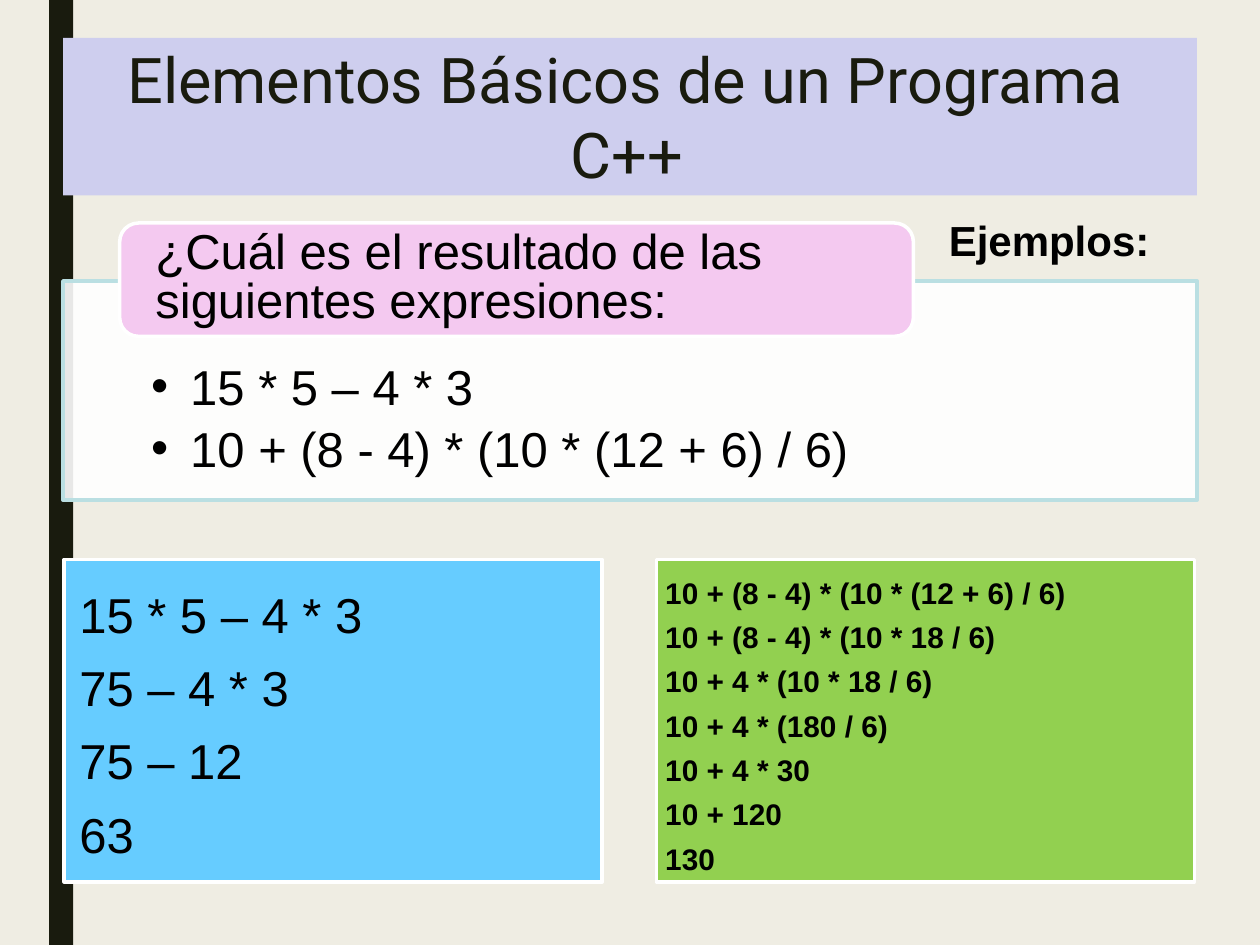
from dataclasses import dataclass

from lxml import etree
from pptx import Presentation
from pptx.dml.color import RGBColor
from pptx.enum.shapes import MSO_SHAPE
from pptx.enum.text import MSO_ANCHOR, MSO_AUTO_SIZE, PP_ALIGN
from pptx.oxml.ns import qn
from pptx.util import Inches, Pt


@dataclass(frozen=True)
class Theme:
    background: str = "EFEDE3"
    dark: str = "191B0E"
    title_fill: str = "CECEEE"
    panel_line: str = "BADFE2"
    label_fill: str = "F4C9F0"
    blue: str = "66CCFF"
    green: str = "92D050"
    white: str = "FFFFFF"
    black: str = "000000"
    title_font: str = "Roboto"
    body_font: str = "Arial"
    title_size: int = 36
    body_size: int = 28
    heading_size: int = 24
    steps_size: int = 17
    line_width: int = 2


THEME = Theme()


def paint(target, color):
    target.solid()
    target.fore_color.rgb = RGBColor.from_string(color)


def add_box(s, box, fill, line=None, kind=MSO_SHAPE.RECTANGLE):
    sp = s.shapes.add_shape(kind, *map(Inches, box))
    sp.shadow.inherit = False
    paint(sp.fill, fill)
    if line:
        paint(sp.line.fill, line)
        sp.line.width = Pt(THEME.line_width)
    else:
        sp.line.fill.background()
    return sp


def place(sp, box):
    sp.left, sp.top, sp.width, sp.height = map(Inches, box)


def write(sp, lines, size, left=0, top=0, gap=0, bold=False,
          font=THEME.body_font, color=THEME.black, anchor=MSO_ANCHOR.TOP):
    """Fill a shape with left-aligned paragraphs, gap points apart."""
    tf = sp.text_frame
    tf.text = "\n".join(lines)
    tf.word_wrap = True
    tf.auto_size = MSO_AUTO_SIZE.NONE
    tf.vertical_anchor = anchor
    tf.margin_left, tf.margin_top = Inches(left), Inches(top)
    tf.margin_right = tf.margin_bottom = 0
    for p in tf.paragraphs:
        p.alignment = PP_ALIGN.LEFT
        p.space_before, p.space_after = Pt(0), Pt(gap)
        for r in p.runs:
            r.font.name, r.font.size, r.font.bold = font, Pt(size), bold
            r.font.color.rgb = RGBColor.from_string(color)
    return tf


def set_indent(p, margin, first):
    pPr = p._p.get_or_add_pPr()
    pPr.set("marL", str(Inches(margin)))
    pPr.set("indent", str(Inches(first)))
    return pPr


def add_background(s, height):
    paint(s.background.fill, THEME.background)
    bar = add_box(s, (0.39, 0, 0.19, height), THEME.dark)
    s.shapes._spTree.insert(2, bar._element)  # behind the placeholders


def add_title(s, box):
    sp = s.shapes.title
    place(sp, box)
    paint(sp.fill, THEME.title_fill)
    tf = write(sp, ["Elementos Básicos de un Programa C++"], THEME.title_size,
               top=0.02, font=THEME.title_font, color=THEME.dark)
    # Hanging indent centres the short second line
    set_indent(tf.paragraphs[0], 4.03, -3.52)


def add_question(s, box):
    x, y, w, h = box
    # Translucent panel
    panel = add_box(s, box, THEME.white, THEME.panel_line)
    color = panel._element.spPr.find(qn("a:solidFill"))[0]
    etree.SubElement(color, qn("a:alpha"), val="90000")

    # Label across the panel's top edge
    label = add_box(s, (x + 0.45, y - 0.46, 6.3, 0.9), THEME.label_fill,
                    THEME.white, MSO_SHAPE.ROUNDED_RECTANGLE)
    tf = write(label, ["¿Cuál es el resultado de las siguientes expresiones:"],
               THEME.body_size, left=0.24, anchor=MSO_ANCHOR.MIDDLE)
    tf.paragraphs[0].line_spacing = Pt(THEME.body_size)

    # Bulleted expressions, in front of the panel
    body = s.placeholders[1]
    place(body, (x + 0.7, y + 0.6, w - 1, h - 0.64))
    tf = write(body, ["15 * 5 – 4 * 3", "10 + (8 - 4) * (10 * (12 + 6) / 6)"],
               THEME.body_size, gap=1.5)
    for p in tf.paragraphs:
        pPr = set_indent(p, 0.31, -0.31)
        etree.SubElement(pPr, qn("a:buFont"), typeface=THEME.body_font)
        etree.SubElement(pPr, qn("a:buChar"), char="•")
    s.shapes._spTree.append(body._element)


def add_heading(s, box):
    sp = s.shapes.add_textbox(*map(Inches, box))
    write(sp, ["Ejemplos:"], THEME.heading_size, top=0.05, bold=True)


def add_steps(s, box, fill, lines, size, **text_options):
    sp = add_box(s, box, fill, THEME.white)
    write(sp, lines, size, **text_options)


def main():
    prs = Presentation()
    prs.slide_width, prs.slide_height = Inches(10), Inches(7.5)
    s = prs.slides.add_slide(prs.slide_layouts[1])

    add_background(s, 7.5)
    add_title(s, (0.5, 0.3, 9, 1.25))
    add_question(s, (0.5, 2.23, 9, 1.74))

    # Worked solutions side by side
    left, gap, width = 0.51, 0.43, 4.27
    add_steps(s, (left, 4.44, width, 2.56), THEME.blue,
              ["15 * 5 – 4 * 3", "75 – 4 * 3", "75 – 12", "63"],
              THEME.body_size, left=0.12, top=0.2, gap=8.2)
    add_steps(s, (left + width + gap, 4.44, width, 2.56), THEME.green,
              ["10 + (8 - 4) * (10 * (12 + 6) / 6)",
               "10 + (8 - 4) * (10 * 18 / 6)",
               "10 + 4 * (10 * 18 / 6)",
               "10 + 4 * (180 / 6)",
               "10 + 4 * 30",
               "10 + 120",
               "130"],
              THEME.steps_size, left=0.07, top=0.12, gap=4.9, bold=True)
    add_heading(s, (7.53, 1.65, 1.62, 0.43))
    prs.save("out.pptx")


if __name__ == "__main__":
    main()
